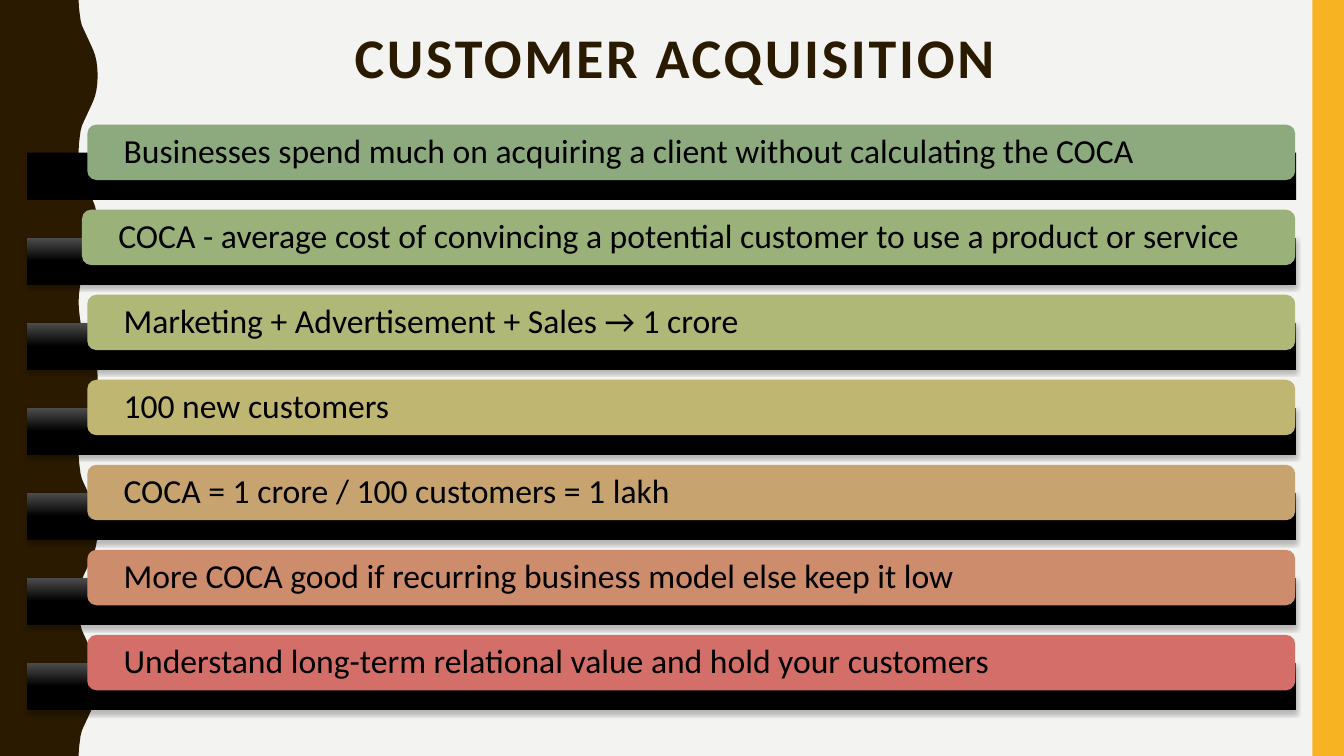
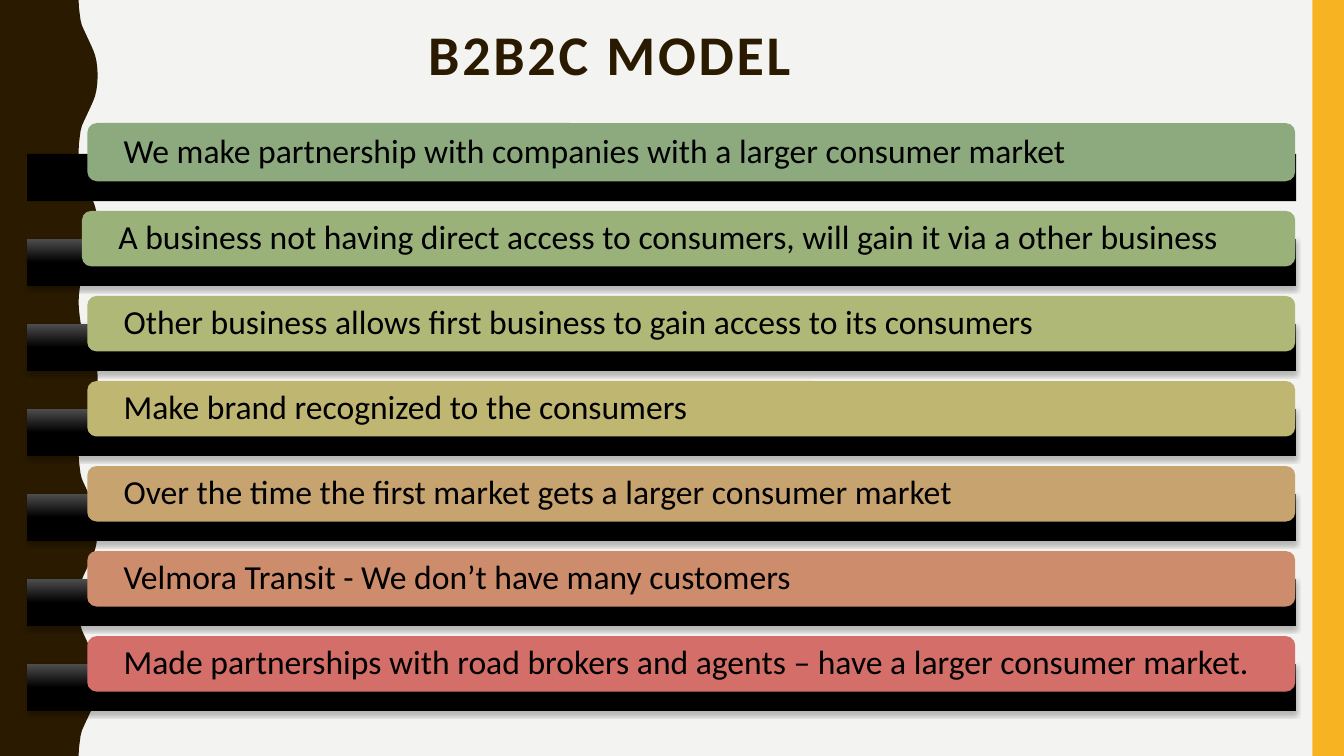
import pptx
import pptx.dml.color
import pptx.enum.shapes
import pptx.enum.text
import pptx.util
from lxml import etree
from pptx.oxml.ns import qn

Pt = pptx.util.Pt
SHAPE = pptx.enum.shapes.MSO_SHAPE
MIDDLE = pptx.enum.text.MSO_ANCHOR.MIDDLE
LEFT = pptx.enum.text.PP_ALIGN.LEFT

WIDE, HIGH = 960, 540
FONT = "Calibri"
HEX = {
    "page": "F3F3F2", "brown": "2A1A00", "gold": "F8B323",
    "black": "000000", "gray": "4D4D4D",
}
ROWS = ["8CAA7E", "9AB17A", "AFB876", "BFB672", "C6A36F", "CD8C6B", "D36F68"]

# Half of one wave of the side band, as (x, y); the other half mirrors it.
HALF = [
    (56.2, 0), (56.4, 5), (57, 10), (57.6, 14.4), (58.5, 18),
    (59.8, 21), (61.2, 24), (62.6, 27), (64, 30), (65.4, 33),
    (66.7, 36), (68, 39.6), (69, 44), (69.6, 49), (69.8, 54),
]
WAVE = 108

PITCH, TALL = 60.75, 39.6
BAR_DROP, BAR_TALL = 20, 33.8

DECK = [
    {
        "title": "CUSTOMER ACQUISITION",
        "head": (246.2, 18, 536.4, 49.7),
        "list": (19.4, 89, 906.5),
        "grow": 0,
        "rows": [
            "Businesses spend much on acquiring a client without calculating the COCA",
            "COCA - average cost of convincing a potential customer to use a product or service",
            "Marketing + Advertisement + Sales → 1 crore",
            "100 new customers",
            "COCA = 1 crore / 100 customers = 1 lakh",
            "More COCA good if recurring business model else keep it low",
            "Understand long-term relational value and hold your customers",
        ],
    },
    {
        "title": "B2B2C MODEL",
        "head": (298.8, 15.8, 429.8, 49.7),
        "list": (19.4, 89.9, 906.5),
        "grow": 2,
        "rows": [
            "We make partnership with companies with a larger consumer market",
            "A business not having direct access to consumers, will gain it via a other business",
            "Other business allows first business to gain access to its consumers",
            "Make brand recognized to the consumers",
            "Over the time the first market gets a larger consumer market",
            "Velmora Transit - We don’t have many customers",
            "Made partnerships with road brokers and agents – have a larger consumer market.",
        ],
    },
]


def rgb(code):
    return pptx.dml.color.RGBColor.from_string(code)


def paint(shape, code):
    """Give a plain fill with no line and no shadow."""
    shape.shadow.inherit = False
    shape.fill.solid()
    shape.fill.fore_color.rgb = rgb(code)
    shape.line.fill.background()


def block(slide, kind, box, code):
    shape = slide.shapes.add_shape(kind, *map(Pt, box))
    paint(shape, code)
    return shape


def write(shape, text, size, code, inset, bold=False):
    """Set one left-aligned line in the shape and return its run."""
    frame = shape.text_frame
    frame.word_wrap = True
    frame.vertical_anchor = MIDDLE
    frame.margin_left = frame.margin_right = Pt(inset)
    frame.margin_top = frame.margin_bottom = 0
    line = frame.paragraphs[0]
    line.alignment = LEFT
    line.line_spacing = 0.9
    run = line.add_run()
    run.text = text
    run.font.name = FONT
    run.font.size = Pt(size)
    run.font.bold = bold
    run.font.color.rgb = rgb(code)
    return run


def frame_page(slide):
    """Draw the wavy band on the left and the gold strip on the right."""
    cycle = HALF + [(x, WAVE - y) for x, y in HALF[-2:0:-1]]
    edge = [(x, y + top) for top in range(0, HIGH, WAVE) for x, y in cycle]
    edge += [(HALF[0][0], HIGH), (0, HIGH)]
    pen = slide.shapes.build_freeform(0, 0, scale=1.0)
    pen.add_line_segments([(Pt(x), Pt(y)) for x, y in edge], close=True)
    paint(pen.convert_to_shape(), HEX["brown"])
    block(slide, SHAPE.RECTANGLE, (937.5, 0, WIDE - 937.5, HIGH), HEX["gold"])


def head(slide, box, text):
    area = slide.shapes.add_textbox(*map(Pt, box))
    run = write(area, text, 40, HEX["brown"], 7.2, bold=True)
    run.font._element.set("spc", "200")


def shade(bar):
    """Give a bar a gray-to-black sheen and a soft shadow below."""
    bar.fill.gradient()
    bar.fill.gradient_angle = 270
    stops = bar.fill.gradient_stops
    for stop, name, place in zip(stops, ("gray", "black"), (0, 0.5)):
        stop.color.rgb = rgb(HEX[name])
        stop.position = place
    effects = bar._element.spPr.find(qn("a:effectLst"))
    drop = etree.SubElement(
        effects, qn("a:outerShdw"), blurRad=str(Pt(3)), dist=str(Pt(2)),
        dir="5400000", algn="ctr", rotWithShape="0")
    color = etree.SubElement(drop, qn("a:srgbClr"), val=HEX["black"])
    etree.SubElement(color, qn("a:alpha"), val="25000")


def stack(slide, box, rows, grow):
    """Lay rows over black bars; grow lifts the top of the first row."""
    left, top, wide = box
    for i, (text, code) in enumerate(zip(rows, ROWS)):
        y = top + i * PITCH
        bar = block(slide, SHAPE.RECTANGLE,
                    (left, y + BAR_DROP, wide, BAR_TALL), HEX["black"])
        if i > 0:
            shade(bar)
        lift = grow if i == 0 else 0
        start = 39.2 if i == 1 else 43
        row = block(slide, SHAPE.ROUNDED_RECTANGLE,
                    (left + start, y - lift, wide - start - 0.7, TALL + lift),
                    code)
        write(row, text, 24, HEX["black"], 24)


def main():
    deck = pptx.Presentation()
    deck.slide_width, deck.slide_height = Pt(WIDE), Pt(HIGH)
    back = deck.slide_master.background.fill
    back.solid()
    back.fore_color.rgb = rgb(HEX["page"])
    for page in DECK:
        slide = deck.slides.add_slide(deck.slide_layouts[6])
        frame_page(slide)
        head(slide, page["head"], page["title"])
        stack(slide, page["list"], page["rows"], page["grow"])
    deck.save("out.pptx")


if __name__ == "__main__":
    main()
